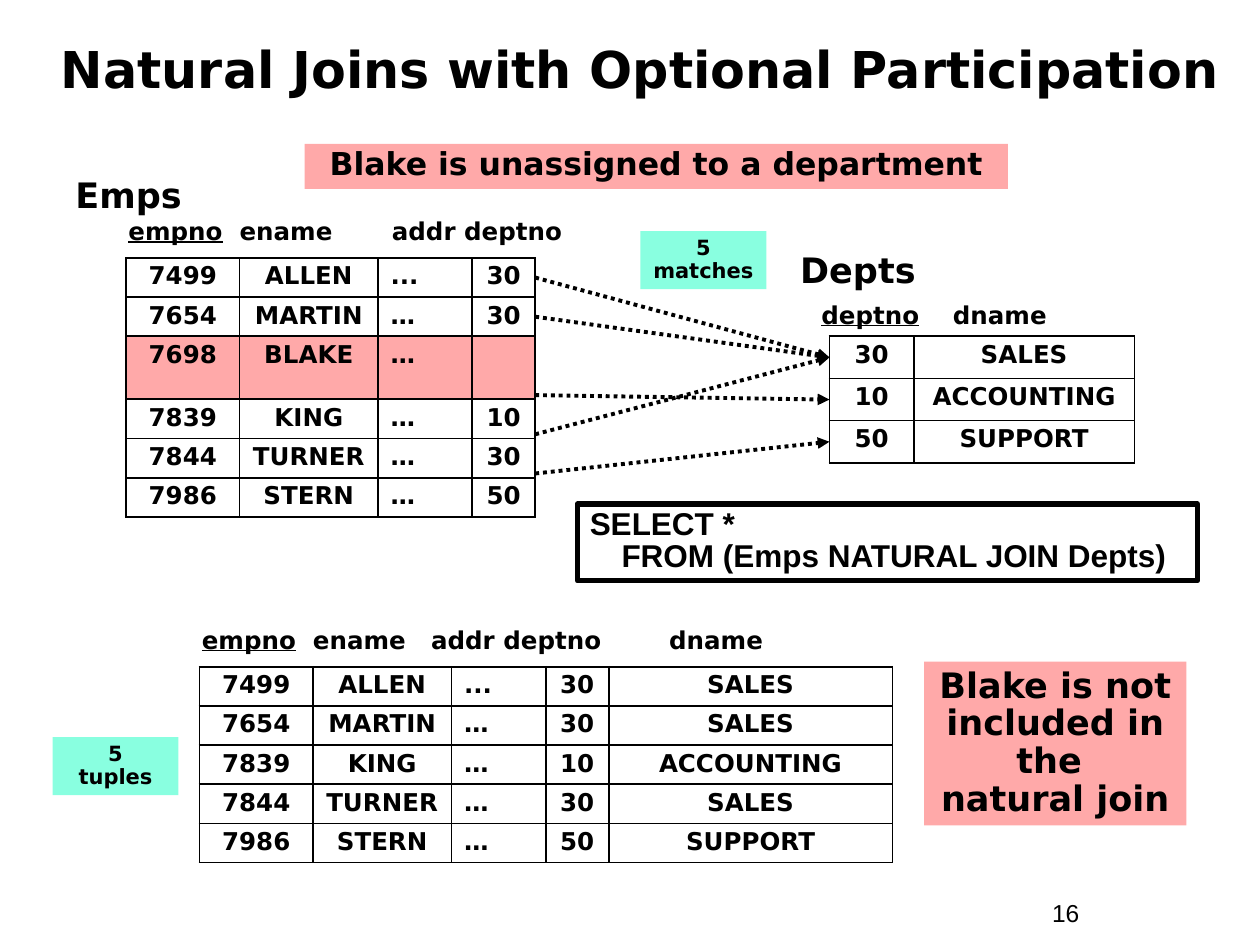
from pptx import Presentation
from pptx.dml.color import RGBColor
from pptx.enum.dml import MSO_LINE
from pptx.enum.shapes import MSO_CONNECTOR, MSO_SHAPE
from pptx.enum.text import MSO_ANCHOR, PP_ALIGN
from pptx.oxml.ns import qn
from pptx.util import Cm, Pt
from lxml.etree import SubElement

SANS = "DejaVu Sans"
BLACK, PINK, MINT = "000000", "FFA9A9", "89FFE0"
ROW = 0.79
EMPS_COLS = [2.29, 2.79, 1.9, 1.27]
EMPS_BOX = (2.54, 5.2)
DEPTS_BOX = (16.72, 6.78)
DEPT_ROW = 0.85

EMPS = [
    ["7499", "ALLEN", "...", "30"],
    ["7654", "MARTIN", "…", "30"],
    ["7698", "BLAKE", "…", ""],
    ["7839", "KING", "…", "10"],
    ["7844", "TURNER", "…", "30"],
    ["7986", "STERN", "…", "50"],
]
DEPTS = [["30", "SALES"], ["10", "ACCOUNTING"], ["50", "SUPPORT"]]


def color(hex_string):
    return RGBColor.from_string(hex_string)


def add_run(p, text, size, font=SANS, bold=True, underline=False):
    r = p.add_run()
    r.text = text
    r.font.name = font
    r.font.size = Pt(size)
    r.font.bold = bold
    r.font.underline = underline
    r.font.color.rgb = color(BLACK)


def add_lines(p, lines, size, font=SANS):
    for i, line in enumerate(lines):
        if i:
            p.add_line_break()
        add_run(p, line, size, font)


def text_box(s, x, y, w, h):
    tf = s.shapes.add_textbox(Cm(x), Cm(y), Cm(w), Cm(h)).text_frame
    tf.word_wrap = True
    return tf


def add_label(s, x, y, w, h, text, size, font=SANS, bold=True):
    tf = text_box(s, x, y, w, h)
    add_run(tf.paragraphs[0], text, size, font, bold)
    return tf


def add_title(s, x, y, w, h, text):
    tf = add_label(s, x, y, w, h, text, 29)
    tf.vertical_anchor = MSO_ANCHOR.MIDDLE
    tf.paragraphs[0].alignment = PP_ALIGN.CENTER


def add_header(s, x, y, w, runs, tabs):
    p = text_box(s, x, y, w, 0.86).paragraphs[0]
    tab_list = SubElement(p._p.get_or_add_pPr(), qn("a:tabLst"))
    for pos in tabs:
        SubElement(tab_list, qn("a:tab"), pos=str(Cm(pos)), algn="l")
    for text, underline in runs:
        add_run(p, text, 14, underline=underline)


def add_borders(cell):
    tcPr = cell._tc.get_or_add_tcPr()
    for side in ("a:lnL", "a:lnR", "a:lnT", "a:lnB"):
        ln = SubElement(tcPr, qn(side), w=str(Pt(1.08)))
        fill = SubElement(ln, qn("a:solidFill"))
        SubElement(fill, qn("a:srgbClr"), val=BLACK)


def add_grid(s, x, y, rows, cols, heights, marked=None):
    shape = s.shapes.add_table(len(rows), len(cols), Cm(x), Cm(y),
                               Cm(sum(cols)), Cm(sum(heights)))
    table = shape.table
    table.first_row = table.horz_banding = False
    for col, width in zip(table.columns, cols):
        col.width = Cm(width)
    for i, values in enumerate(rows):
        table.rows[i].height = Cm(heights[i])
        for j, value in enumerate(values):
            cell = table.cell(i, j)
            add_borders(cell)
            if i == marked:
                cell.fill.solid()
                cell.fill.fore_color.rgb = color(PINK)
            else:
                cell.fill.background()
            p = cell.text_frame.paragraphs[0]
            p.line_spacing = 0.9
            if value not in ("...", "…"):
                p.alignment = PP_ALIGN.CENTER
            if value:
                add_run(p, value, 14)


def add_emps(s, x, y):
    add_label(s, x - 1.27, y - 1.83, 5.46, 1.12, "Emps", 20)
    add_header(s, x - 0.2, y - 0.96, 9.53,
               [("empno", True), ("\tename\taddr deptno", False)], [2.24, 5.31])
    heights = [ROW, ROW, 1.27, ROW, ROW, ROW]
    add_grid(s, x, y, EMPS, EMPS_COLS, heights, marked=2)


def add_depts(s, x, y):
    add_label(s, x - 0.84, y - 1.9, 5.46, 1.12, "Depts", 20)
    add_header(s, x - 0.41, y - 0.86, 6.35,
               [("deptno", True), ("\tdname", False), ("\t", True)], [2.65, 4.88])
    add_grid(s, x, y, DEPTS, [1.7, 4.45], [DEPT_ROW] * len(DEPTS))


def add_result(s, x, y):
    add_header(s, x - 0.2, y - 0.96, 13.77,
               [("empno", True), ("\tename\taddr deptno\tdname", False)],
               [2.24, 4.62, 9.42])
    names = dict(DEPTS)
    rows = [emp + [names[emp[-1]]] for emp in EMPS if emp[-1]]
    add_grid(s, x, y, rows, EMPS_COLS + [5.72], [ROW] * len(rows))


def add_arrow(s, x1, y1, x2, y2):
    c = s.shapes.add_connector(MSO_CONNECTOR.STRAIGHT, Cm(x1), Cm(y1), Cm(x2), Cm(y2))
    c.line.color.rgb = color(BLACK)
    c.line.width = Pt(2.25)
    c.line.dash_style = MSO_LINE.ROUND_DOT
    SubElement(c.line._get_or_add_ln(), qn("a:tailEnd"), type="triangle")
    SubElement(c._element.spPr, qn("a:effectLst"))


def add_matches(s, emps_box, depts_box):
    keys = [dept[0] for dept in DEPTS]
    x1 = emps_box[0] + sum(EMPS_COLS)
    for i, emp in enumerate(EMPS):
        if emp[-1]:
            y1 = emps_box[1] + ROW * (i + 0.5)
            y2 = depts_box[1] + DEPT_ROW * (keys.index(emp[-1]) + 0.5)
            add_arrow(s, x1, y1, depts_box[0], y2)


def add_box(s, x, y, w, h):
    sp = s.shapes.add_shape(MSO_SHAPE.RECTANGLE, Cm(x), Cm(y), Cm(w), Cm(h))
    sp.shadow.inherit = False
    tf = sp.text_frame
    tf.word_wrap = True
    tf.vertical_anchor = MSO_ANCHOR.TOP
    return sp, tf.paragraphs[0]


def add_note(s, x, y, w, h, lines, size, fill, spacing=0.9):
    sp, p = add_box(s, x, y, w, h)
    sp.fill.solid()
    sp.fill.fore_color.rgb = color(fill)
    sp.line.fill.background()
    p.alignment = PP_ALIGN.CENTER
    p.line_spacing = spacing
    add_lines(p, lines, size)


def add_query(s, x, y, w, h, lines):
    sp, p = add_box(s, x, y, w, h)
    sp.fill.background()
    sp.line.color.rgb = color(BLACK)
    sp.line.width = Pt(3)
    p.alignment = PP_ALIGN.LEFT
    p.line_spacing = 0.85
    pPr = p._p.get_or_add_pPr()
    pPr.set("marL", str(Cm(0.64)))
    pPr.set("indent", str(-Cm(0.64)))
    add_lines(p, lines, 18, "Arial")


def main():
    prs = Presentation()
    prs.slide_width, prs.slide_height = Cm(25.4), Cm(19.05)
    s = prs.slides.add_slide(prs.slide_layouts[6])
    add_label(s, 20.96, 17.98, 2.34, 0.86, "16", 14, "Arial", False)
    add_title(s, 0.43, 0.64, 24.97, 1.47, "Natural Joins with Optional Participation")
    add_depts(s, *DEPTS_BOX)
    add_emps(s, *EMPS_BOX)
    add_matches(s, EMPS_BOX, DEPTS_BOX)
    add_result(s, 4.02, 13.44)
    add_query(s, 11.64, 10.16, 12.5, 1.55,
              ["SELECT *", "FROM (Emps NATURAL JOIN Depts)"])
    add_note(s, 6.14, 2.9, 14.18, 0.91,
             ["Blake is unassigned to a department"], 18, PINK, 0.85)
    add_note(s, 18.63, 13.34, 5.29, 3.3,
             ["Blake is not included in the ", "natural join"], 20, PINK)
    add_note(s, 12.91, 4.66, 2.54, 1.17, ["5", "matches"], 12, MINT)
    add_note(s, 1.06, 14.86, 2.54, 1.17, ["5", "tuples"], 12, MINT)
    prs.save("out.pptx")


if __name__ == "__main__":
    main()
